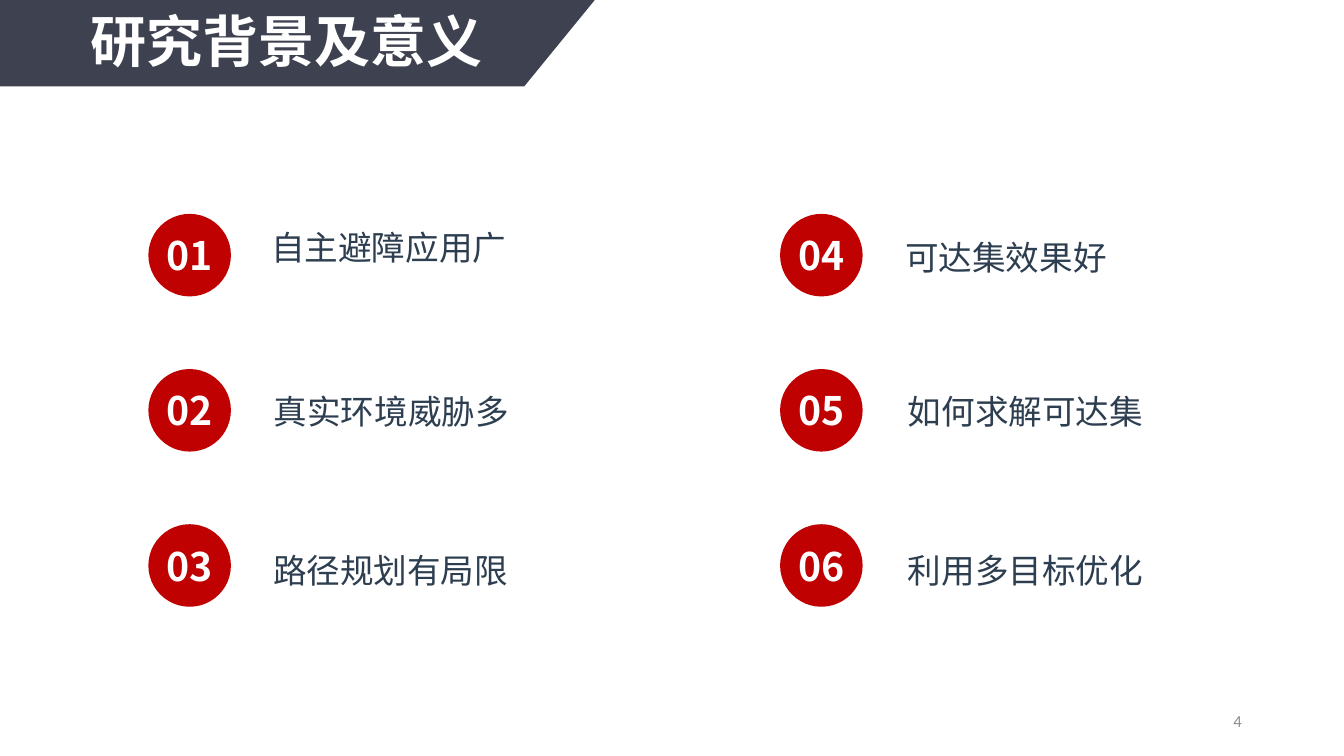
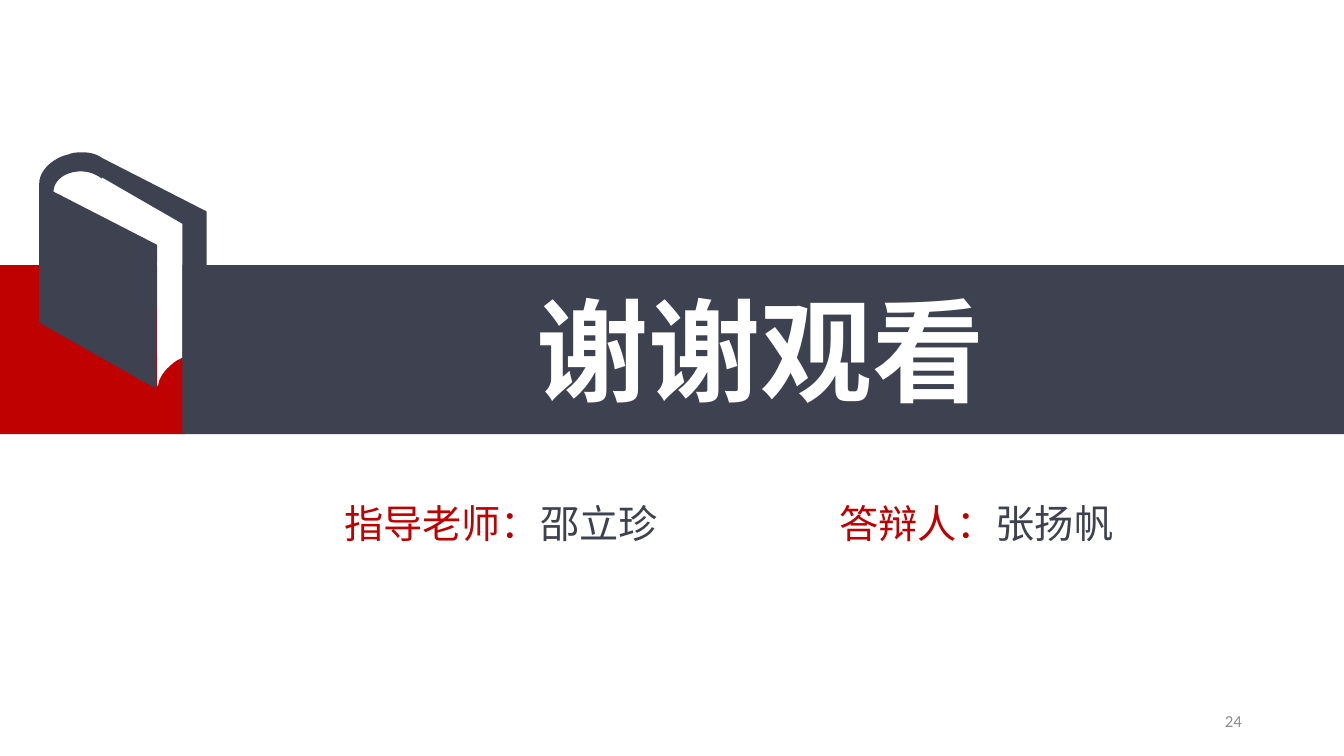
"""Build a numbered topic slide and a closing slide of a thesis defence."""
from lxml.etree import SubElement
from pptx import Presentation
from pptx.dml.color import RGBColor
from pptx.enum.shapes import MSO_SHAPE
from pptx.enum.text import MSO_ANCHOR, PP_ALIGN
from pptx.oxml.ns import qn
from pptx.util import Cm, Pt

COLOURS = {"slate": "3E4150", "red": "C00102", "ink": "2D3E50",
           "white": "FFFFFF", "grey": "8C8C8C"}
CJK = "Noto Sans CJK SC"
STYLES = {
    "title": {"size": Pt(40), "name": CJK, "bold": True, "colour": "white"},
    "number": {"size": Pt(28), "name": CJK, "bold": True, "colour": "white"},
    "label": {"size": Pt(24), "name": CJK, "colour": "ink"},
    "thanks": {"size": Pt(80), "name": CJK, "bold": True, "colour": "white"},
    "role": {"size": Pt(28), "name": CJK, "colour": "red"},
    "person": {"size": Pt(28), "name": CJK, "colour": "slate"},
    "page": {"size": Pt(12), "name": "Calibri", "colour": "grey"},
}

TITLE = "研究背景及意义"
TOPICS = [
    ("自主避障应用广", 6.58, 5.59),
    ("真实环境威胁多", 6.65, 9.73),
    ("路径规划有局限", 6.63, 13.74),
    ("可达集效果好", 22.56, 5.84),
    ("如何求解可达集", 22.63, 9.73),
    ("利用多目标优化", 22.63, 13.74),
]
CIRCLE_LEFTS = (3.74, 19.66)
CIRCLE_TOP, CIRCLE_PITCH, CIRCLE_SIZE = 5.39, 3.91, 2.08
ROWS = 3
THANKS = "谢谢观看"
PEOPLE = [("指导老师：", "邵立珍", 8.43, 8.48), ("答辩人：", "张扬帆", 20.9, 7.49)]

PAGE_WIDTH, PAGE_HEIGHT = 33.87, 19.05
BAND_LEFT, BAND_TOP, BAND_HEIGHT = 4.6, 6.68, 4.26
BAND_BOTTOM = BAND_TOP + BAND_HEIGHT
TITLE_BAND = [(0, 0), (14.99, 0), (13.21, 2.18), (0, 2.18)]
RED_BAND = [
    (0, BAND_TOP), (3.96, BAND_TOP), (3.96, 9.75), (3.99, 9.7),
    (4.01, 9.5, 4.19, 9.27, 4.45, 9.09), (4.65, 8.99), (4.65, BAND_TOP),
    (4.67, BAND_TOP), (4.67, BAND_BOTTOM), (0, BAND_BOTTOM),
]
BOOK = [
    (2.11, 3.84), (2.26, 3.84, 2.44, 3.89, 2.54, 3.96), (2.59, 3.99),
    (5.21, 5.33), (5.21, 9.12), (4.6, 9.12), (4.6, 5.64), (2.57, 4.47),
    (2.57, 4.5), (2.49, 4.45), (2.36, 4.37, 2.21, 4.32, 2.03, 4.32),
    (1.65, 4.32, 1.35, 4.55, 1.35, 4.83), (3.96, 6.17), (3.94, 9.8),
    (0.99, 8.13), (0.99, 4.62), (0.99, 4.32, 1.3, 3.99, 1.73, 3.89),
    (1.85, 3.84, 1.98, 3.84, 2.11, 3.84),
]
CURVE_STEPS = 12


def paint(shape, colour):
    shape.shadow.inherit = False
    shape.fill.solid()
    shape.fill.fore_color.rgb = RGBColor.from_string(COLOURS[colour])
    shape.line.fill.background()
    return shape


def flatten(outline):
    """Turn points and six-number Bezier segments into plain points."""
    points = []
    for segment in outline:
        if len(segment) == 2:
            points.append(segment)
            continue
        controls = [points[-1], segment[:2], segment[2:4], segment[4:]]
        for step in range(1, CURVE_STEPS + 1):
            t = step / CURVE_STEPS
            weights = ((1 - t) ** 3, 3 * t * (1 - t) ** 2, 3 * t * t * (1 - t), t ** 3)
            points.append(tuple(sum(weight * control[axis]
                                    for weight, control in zip(weights, controls))
                                for axis in (0, 1)))
    return points


def add_outline(page, outline, colour):
    points = [(Cm(x), Cm(y)) for x, y in flatten(outline)]
    builder = page.shapes.build_freeform(*points[0])
    builder.add_line_segments(points[1:], close=True)
    paint(builder.convert_to_shape(), colour)


def add_preset(page, preset, area, colour):
    return paint(page.shapes.add_shape(preset, *map(Cm, area)), colour)


def write(frame, spans, align=PP_ALIGN.LEFT):
    """Fill the frame's first paragraph with (text, style) spans."""
    frame.word_wrap = False
    para = frame.paragraphs[0]
    para.alignment = align
    for text, style in spans:
        span = para.add_run()
        span.text = text
        for key, value in STYLES[style].items():
            if key == "colour":
                span.font.color.rgb = RGBColor.from_string(COLOURS[value])
            else:
                setattr(span.font, key, value)
        east_asian = SubElement(span.font._element, qn("a:ea"))
        east_asian.set("typeface", STYLES[style]["name"])


def add_text(page, area, *spans):
    box = page.shapes.add_textbox(*map(Cm, area))
    write(box.text_frame, spans)


def add_page(deck, number):
    page = deck.slides.add_slide(deck.slide_layouts[6])
    box = page.shapes.add_textbox(Cm(23.93), Cm(17.65), Cm(7.62), Cm(1.02))
    write(box.text_frame, [(number, "page")], PP_ALIGN.RIGHT)
    box.text_frame.word_wrap = True
    box.text_frame.vertical_anchor = MSO_ANCHOR.MIDDLE
    return page


def build_topics(deck):
    page = add_page(deck, "4")
    add_outline(page, TITLE_BAND, "slate")
    add_text(page, (2.03, 0.05, 10.49, 1.96), (TITLE, "title"))
    for index, (label, left, top) in enumerate(TOPICS):
        column, row = divmod(index, ROWS)
        area = (CIRCLE_LEFTS[column], CIRCLE_TOP + row * CIRCLE_PITCH,
                CIRCLE_SIZE, CIRCLE_SIZE)
        frame = add_preset(page, MSO_SHAPE.OVAL, area, "red").text_frame
        for side in ("left", "top", "right", "bottom"):
            setattr(frame, f"margin_{side}", 0)
        frame.vertical_anchor = MSO_ANCHOR.MIDDLE
        write(frame, [(f"{index + 1:02}", "number")], PP_ALIGN.CENTER)
        width = len(label) * STYLES["label"]["size"].cm + 0.51
        add_text(page, (left, top, width, 1.27), (label, "label"))


def build_closing(deck):
    page = add_page(deck, "24")
    add_outline(page, RED_BAND, "red")
    add_outline(page, BOOK, "slate")
    band = (BAND_LEFT, BAND_TOP, PAGE_WIDTH - BAND_LEFT, BAND_HEIGHT)
    add_preset(page, MSO_SHAPE.RECTANGLE, band, "slate")
    add_text(page, (13.28, 6.96, 11.91, 3.68), (THANKS, "thanks"))
    for role, person, left, width in PEOPLE:
        add_text(page, (left, 12.45, width, 1.45), (role, "role"), (person, "person"))


def main():
    deck = Presentation()
    deck.slide_width, deck.slide_height = Cm(PAGE_WIDTH), Cm(PAGE_HEIGHT)
    build_topics(deck)
    build_closing(deck)
    deck.save("out.pptx")


if __name__ == "__main__":
    main()
